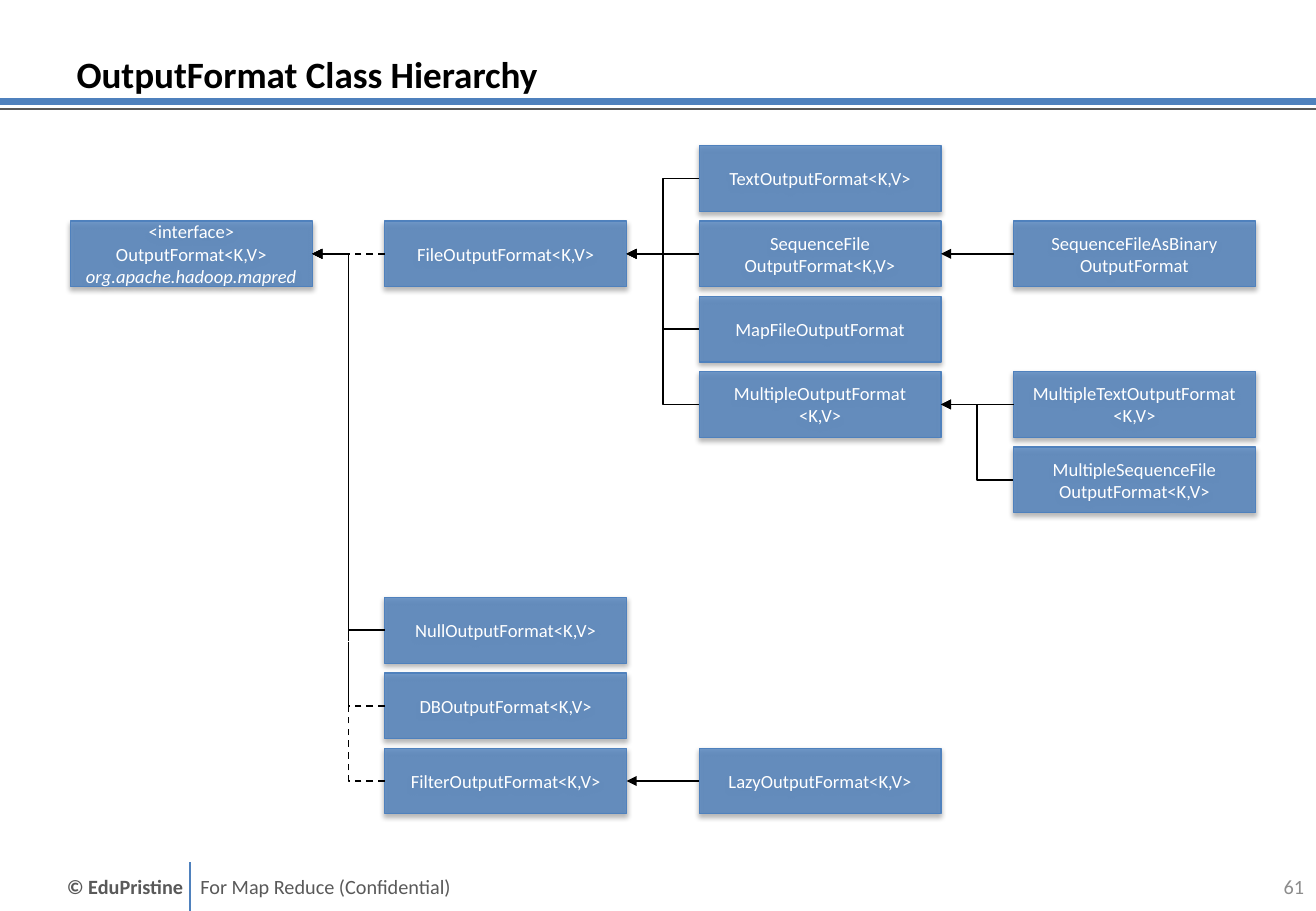
"""Build the OutputFormat class hierarchy slide."""
from lxml import etree
from pptx import Presentation
from pptx.dml.color import RGBColor
from pptx.enum.dml import MSO_LINE
from pptx.enum.shapes import MSO_CONNECTOR, MSO_SHAPE
from pptx.enum.text import MSO_ANCHOR, MSO_AUTO_SIZE, PP_ALIGN
from pptx.oxml.ns import qn
from pptx.util import Inches, Pt

STRAIGHT, ELBOW = MSO_CONNECTOR.STRAIGHT, MSO_CONNECTOR.ELBOW
LEFT, CENTER, RIGHT = PP_ALIGN.LEFT, PP_ALIGN.CENTER, PP_ALIGN.RIGHT
MIDDLE, BOTTOM = MSO_ANCHOR.MIDDLE, MSO_ANCHOR.BOTTOM
LEFT_SITE, RIGHT_SITE = 1, 3

COLORS = {"blue": "4F81BD", "gray": "595959", "number": "8C8C8C",
          "black": "000000", "white": "FFFFFF"}
WIDTH, HEIGHT = 10.83, 7.5
GRID_X, GRID_Y, COL, ROW = 0.58, 1.2, 2.587, 0.62
BOX_W, BOX_H = 1.99, 0.54
FOOT_Y, FOOT_H = 7.1, 0.4


def write(s, text, size, color, align, anchor, insets, bold=False):
    tf = s.text_frame
    frame = {"word_wrap": True, "auto_size": MSO_AUTO_SIZE.NONE, "vertical_anchor": anchor,
             "margin_left": Inches(insets[0]), "margin_right": Inches(insets[1]),
             "margin_top": Inches(0.05), "margin_bottom": Inches(0.05)}
    for name, value in frame.items():
        setattr(tf, name, value)
    p = tf.paragraphs[0]
    p.alignment = align
    for i, line in enumerate(text.split("\n")):
        if i:
            p.add_line_break()
        r = p.add_run()
        r.text = line
        font = {"name": "Calibri", "size": Pt(size), "bold": bold,
                "italic": line.startswith("org.")}
        for name, value in font.items():
            setattr(r.font, name, value)
        r.font.color.rgb = RGBColor.from_string(COLORS[color])
    return p


def connect(x1, y1, x2, y2, color, weight, kind=STRAIGHT):
    s = slide.shapes.add_connector(kind, Inches(x1), Inches(y1), Inches(x2), Inches(y2))
    s.line.color.rgb = RGBColor.from_string(COLORS[color])
    s.line.width = Pt(weight)
    etree.SubElement(s._element.spPr, qn("a:effectLst"))
    return s


prs = Presentation()
prs.slide_width, prs.slide_height = Inches(WIDTH), Inches(HEIGHT)
slide = prs.slides.add_slide(prs.slide_layouts[5])

connect(0, 0.835, WIDTH, 0.835, "blue", 4)
connect(0, 0.9, WIDTH, 0.9, "gray", 1)
connect(1.565, FOOT_Y, 1.565, HEIGHT, "blue", 1.5)

title = slide.shapes.title
title.left, title.top, title.width, title.height = map(Inches, (0.58, 0.07, 8.86, 0.77))
p = write(title, "OutputFormat Class Hierarchy", 22, "black", LEFT, BOTTOM, (0.05, 0.05), True)
p.line_spacing = Pt(22)

footers = [
    (0.55, 1.53, "© EduPristine", "gray", LEFT, (0, 0), True),
    (1.65, 3.43, "For Map Reduce (Confidential)", "gray", LEFT, (0, 0.1), False),
    (10.29, 0.54, "61", "number", RIGHT, (0.1, 0.1), False),
]
for x, w, text, color, align, insets, bold in footers:
    s = slide.shapes.add_textbox(Inches(x), Inches(FOOT_Y), Inches(w), Inches(FOOT_H))
    write(s, text, 12, color, align, MIDDLE, insets, bold)

classes = {
    "interface": (0, 1, "<interface>\nOutputFormat<K,V>\norg.apache.hadoop.mapred"),
    "file": (1, 1, "FileOutputFormat<K,V>"),
    "null": (1, 6, "NullOutputFormat<K,V>"),
    "db": (1, 7, "DBOutputFormat<K,V>"),
    "filter": (1, 8, "FilterOutputFormat<K,V>"),
    "text": (2, 0, "TextOutputFormat<K,V>"),
    "sequence": (2, 1, "SequenceFile\nOutputFormat<K,V>"),
    "map": (2, 2, "MapFileOutputFormat"),
    "multiple": (2, 3, "MultipleOutputFormat\n<K,V>"),
    "lazy": (2, 8, "LazyOutputFormat<K,V>"),
    "binary": (3, 1, "SequenceFileAsBinary OutputFormat"),
    "multi_text": (3, 3, "MultipleTextOutputFormat\n<K,V>"),
    "multi_sequence": (3, 4, "MultipleSequenceFile\nOutputFormat<K,V>"),
}
boxes = {}
for key, (col, row, text) in classes.items():
    s = slide.shapes.add_shape(MSO_SHAPE.RECTANGLE, Inches(GRID_X + col * COL),
                               Inches(GRID_Y + row * ROW), Inches(BOX_W), Inches(BOX_H))
    s.fill.solid()
    s.fill.fore_color.rgb = s.line.color.rgb = RGBColor.from_string(COLORS["blue"])
    s.line.width = Pt(0.75)
    s.shadow.inherit = False
    spPr = s._element.spPr
    fill = spPr.find(qn("a:solidFill")).find(qn("a:srgbClr"))
    etree.SubElement(fill, qn("a:alpha"), val="80000")
    shadow = etree.SubElement(spPr.find(qn("a:effectLst")), qn("a:outerShdw"),
                              blurRad=str(Pt(3.1)), dist=str(Pt(1.8)), dir="5400000",
                              rotWithShape="0")
    shade = etree.SubElement(shadow, qn("a:srgbClr"), val=COLORS["black"])
    etree.SubElement(shade, qn("a:alpha"), val="35000")
    write(s, text, 11, "white", CENTER, MIDDLE, (0.03, 0.03))
    boxes[key] = s

parents = [
    ("multi_sequence", "multiple", False), ("multi_text", "multiple", False),
    ("binary", "sequence", False), ("map", "file", False), ("text", "file", False),
    ("sequence", "file", False), ("multiple", "file", False), ("lazy", "filter", False),
    ("null", "interface", False), ("file", "interface", True),
    ("db", "interface", True), ("filter", "interface", True),
]
for child, parent, dashed in parents:
    kind = STRAIGHT if classes[child][1] == classes[parent][1] else ELBOW
    s = connect(0, 0, 1, 1, "black", 1, kind)
    s.begin_connect(boxes[child], LEFT_SITE)
    s.end_connect(boxes[parent], RIGHT_SITE)
    if dashed:
        s.line.dash_style = MSO_LINE.DASH
    etree.SubElement(s._element.spPr.find(qn("a:ln")), qn("a:tailEnd"), type="triangle")

prs.save("out.pptx")
